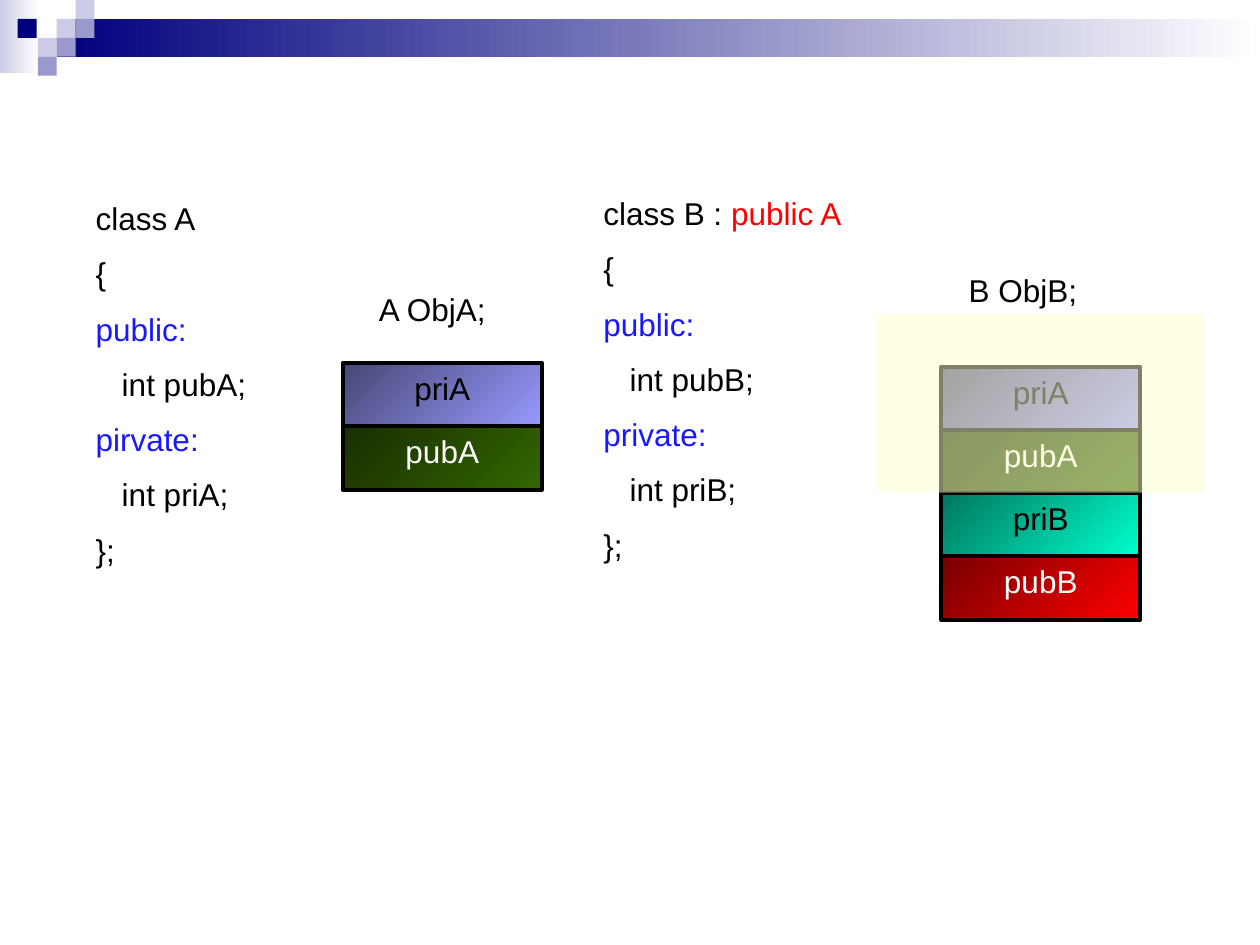
from pptx import Presentation, util as u
from pptx.dml.color import RGBColor
from pptx.enum import shapes, text
from pptx.oxml.ns import qn
from lxml import etree

HUES = {
    "black": "000000", "white": "FFFFFF", "blue": "1818FF", "red": "FF0000",
    "navy": "00007D", "pale": "CCCCE6", "mid": "9999CC", "cream": "FFFFCC",
    "dusk": "474776", "lilac": "9999FF", "moss": "182F00", "green": "336600",
    "teal": "00765E", "mint": "00FFCC", "wine": "760000",
}
BANDS = [
    ((0, 0, 0.31, 0.58), ("pale", "white")),
    ((0.45, 0.15, 9.55, 0.3), ("navy", "white")),
]
TILES = [
    (0.45, 0.15, "pale"), (0.6, 0, "pale"), (0.6, 0.15, "mid"),
    (0.3, 0.3, "pale"), (0.14, 0.15, "navy"), (0.45, 0.3, "mid"),
    (0.3, 0.45, "mid"),
]
CODE = [
    ((0.66, 1.53, 1.81, 3.13), [
        [("class A", "black")],
        [("{", "black")],
        [("public:", "blue")],
        [("   int pubA;", "black")],
        [("pirvate:", "blue")],
        [("   int priA;", "black")],
        [("};", "black")],
    ]),
    ((4.69, 1.49, 3.23, 3.13), [
        [("class B : ", "black"), ("public A", "red")],
        [("{", "black")],
        [("public:", "blue")],
        [("   int pubB;", "black")],
        [("private:", "blue")],
        [("   int priB;", "black")],
        [("};", "black")],
    ]),
]
CELLS = {
    "priA": ("dusk", "lilac", "black"),
    "pubA": ("moss", "green", "white"),
    "priB": ("teal", "mint", "black"),
    "pubB": ("wine", "red", "white"),
}
STACKS = [
    (2.72, 2.88, ["priA", "pubA"]),
    (7.47, 2.91, ["priA", "pubA", "priB", "pubB"]),
]
VEIL = (6.97, 2.49, 2.58, 1.42)
LABELS = [
    ((2.91, 2.25, 1.34, 0.4), "A ObjA;"),
    ((7.59, 2.1, 1.34, 0.4), "B ObjB;"),
]
FONT = {"name": "Arial", "size": u.Pt(18)}
FRAME = {"word_wrap": True, "vertical_anchor": text.MSO_ANCHOR.TOP}
TILE, STEP = 0.15, 0.5


def rgb(hue):
    return RGBColor.from_string(HUES[hue])


def put(obj, vals):
    for key, val in vals.items():
        setattr(obj, key, val)


def write(shape, lines, align=text.PP_ALIGN.LEFT):
    frame = shape.text_frame
    put(frame, FRAME)
    for i, line in enumerate(lines):
        para = frame.add_paragraph() if i else frame.paragraphs[0]
        para.alignment = align
        if i:
            para.space_before = u.Pt(10)
        for words, hue in line:
            run = para.add_run()
            run.text = words
            put(run.font, FONT)
            run.font.color.rgb = rgb(hue)


def rect(home, box, hues, angle=0):
    shape = home.add_shape(shapes.MSO_SHAPE.RECTANGLE, *map(u.Inches, box))
    shape.shadow.inherit = False
    shape.line.fill.background()
    if len(hues) == 1:
        shape.fill.solid()
        shape.fill.fore_color.rgb = rgb(hues[0])
    else:
        shape.fill.gradient()
        shape.fill.gradient_angle = angle
        for stop, hue in zip(shape.fill.gradient_stops, hues):
            stop.color.rgb = rgb(hue)
    return shape


def main():
    deck = Presentation()
    put(deck, {"slide_width": u.Inches(10), "slide_height": u.Inches(7.5)})
    page = deck.slides.add_slide(deck.slide_layouts[6]).shapes

    trim = page.add_group_shape().shapes
    for box, hues in BANDS:
        rect(trim, box, hues)
    for x, y, hue in TILES:
        rect(trim, (x, y, TILE, TILE), [hue])

    for box, lines in CODE:
        write(page.add_textbox(*map(u.Inches, box)), lines)

    for x, y, names in STACKS:
        stack = page.add_group_shape().shapes
        for i, name in enumerate(names):
            dark, light, ink = CELLS[name]
            cell = rect(stack, (x, y + i * STEP, 1.58, 0.51), (dark, light), 315)
            cell.line.color.rgb = rgb("black")
            cell.line.width = u.Pt(2.25)
            write(cell, [[(name, ink)]], text.PP_ALIGN.CENTER)

    veil = rect(page, VEIL, ["cream"])
    tint = veil.fill._xPr.find(qn("a:solidFill"))[0]
    etree.SubElement(tint, qn("a:alpha")).set("val", "50000")

    for box, words in LABELS:
        write(page.add_textbox(*map(u.Inches, box)), [[(words, "black")]])

    deck.save("out.pptx")


if __name__ == "__main__":
    main()
